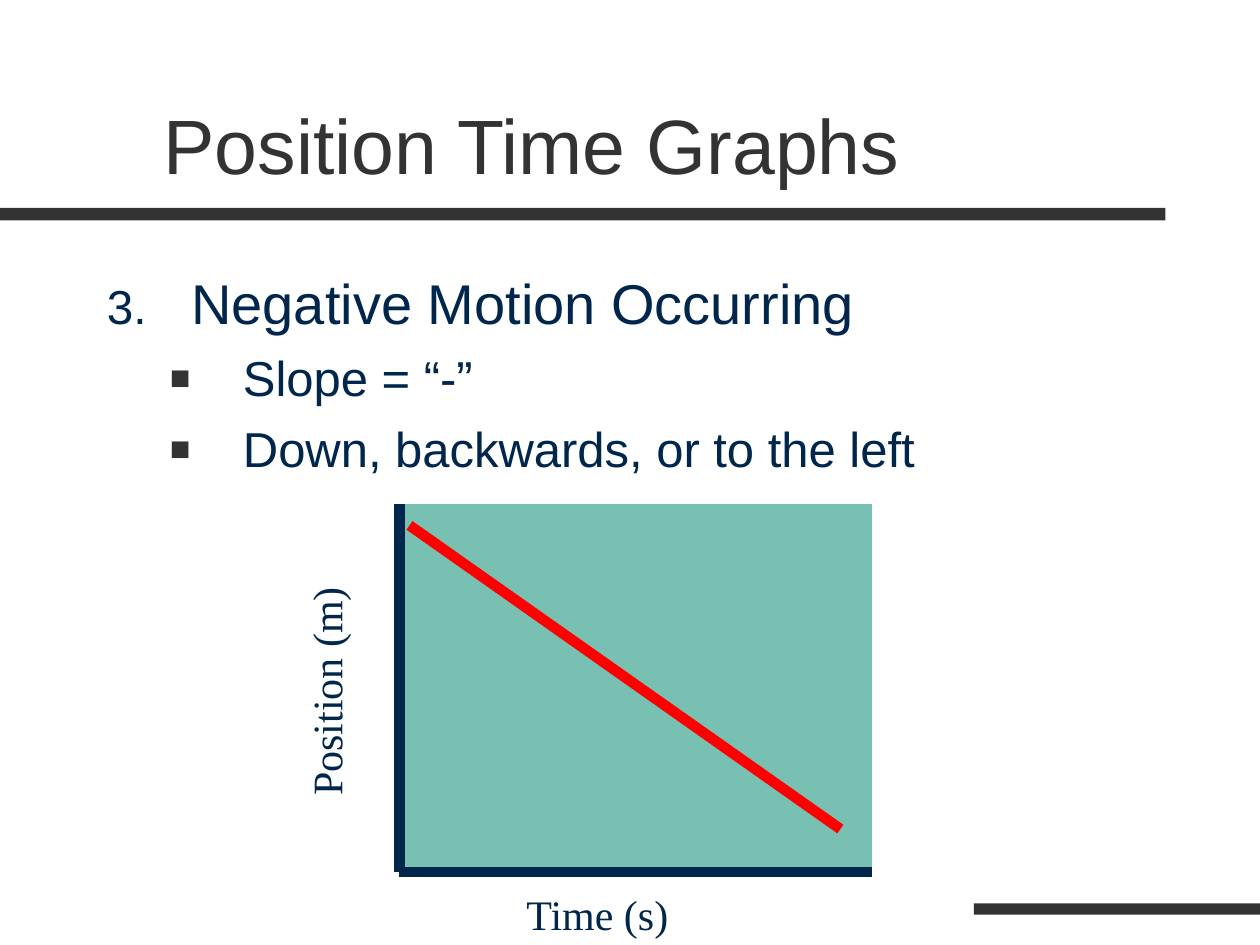
from lxml.etree import SubElement
from pptx import Presentation
from pptx.dml.color import RGBColor
from pptx.enum.shapes import MSO_CONNECTOR, MSO_SHAPE
from pptx.enum.text import MSO_ANCHOR
from pptx.oxml.ns import qn
from pptx.util import Inches, Pt

# Content
TITLE = "Position Time Graphs"
BODY = [
    ("number", "Negative Motion Occurring"),
    ("square", "Slope = “-”"),
    ("square", "Down, backwards, or to the left"),
]
X_LABEL, Y_LABEL = "Time (s)", "Position (m)"

# Theme
THEME = {
    "dark": "333333", "navy": "00264C", "teal": "78C0B2", "red": "FF0000",
    "line": 6,
    "title": {"name": "Arial", "size": 44, "color": "333333"},
    "number": {"name": "Arial", "size": 32, "color": "00264C"},
    "square": {"name": "Arial", "size": 28, "color": "00264C"},
    "label": {"name": "Times New Roman", "size": 24, "color": "00264C"},
}
BULLETS = {
    "number": {"level": 0, "left": 0.67, "hang": 0.67, "before": 8, "color": "navy", "pct": 85,
               "tag": "a:buAutoNum", "attrs": {"type": "arabicPeriod", "startAt": "3"}},
    "square": {"level": 1, "left": 1.08, "hang": 0.58, "before": 7, "color": "dark", "pct": 70,
               "tag": "a:buChar", "attrs": {"char": "■"}},
}

# Layout: left, top, width, height
BARS = [(0, 1.65, 9.25, 0.1), (7.73, 7.17, 2.27, 0.09)]
PLOT = (3.17, 4, 3.75, 2.92)
TREND = (3.25, 4.17, 6.67, 6.58)

prs = Presentation()
prs.slide_width, prs.slide_height = Inches(10), Inches(7.5)
s = prs.slides.add_slide(prs.slide_layouts[6])


def add_rect(box, color):
    sp = s.shapes.add_shape(MSO_SHAPE.RECTANGLE, *map(Inches, box))
    sp.shadow.inherit = False
    sp.fill.solid()
    sp.fill.fore_color.rgb = RGBColor.from_string(THEME[color])
    sp.line.fill.background()


def add_line(ends, color):
    ln = s.shapes.add_connector(MSO_CONNECTOR.STRAIGHT, *map(Inches, ends))
    ln.line.color.rgb = RGBColor.from_string(THEME[color])
    ln.line.width = Pt(THEME["line"])
    SubElement(ln._element.spPr, qn("a:effectLst"))


def add_box(box, anchor=MSO_ANCHOR.TOP, rotation=0):
    sp = s.shapes.add_textbox(*map(Inches, box))
    sp.rotation = rotation
    tf = sp.text_frame
    tf.word_wrap = True
    tf.vertical_anchor = anchor
    return tf


def write(p, text, style):
    r = p.add_run()
    r.text = text
    values = {"name": THEME[style]["name"], "size": Pt(THEME[style]["size"])}
    for key, value in values.items():
        setattr(r.font, key, value)
    r.font.color.rgb = RGBColor.from_string(THEME[style]["color"])


def add_bullet(p, b):
    p.level = b["level"]
    pPr = p._p.get_or_add_pPr()
    pPr.set("marL", str(Inches(b["left"])))
    pPr.set("indent", str(-Inches(b["hang"])))
    clr = SubElement(pPr, qn("a:buClr"))
    SubElement(clr, qn("a:srgbClr"), val=THEME[b["color"]])
    SubElement(pPr, qn("a:buSzPct"), val=str(b["pct"] * 1000))
    SubElement(pPr, qn("a:buFont"), typeface="Arial")
    SubElement(pPr, qn(b["tag"]), **b["attrs"])


# Decorative bars
for bar in BARS:
    add_rect(bar, "dark")

# Title
tf = add_box((1.2, 0.31, 8.5, 1.25), MSO_ANCHOR.BOTTOM)
write(tf.paragraphs[0], TITLE, "title")

# Body list
tf = add_box((0.75, 2.08, 8.5, 4.58))
for i, (kind, text) in enumerate(BODY):
    p = tf.add_paragraph() if i else tf.paragraphs[0]
    add_bullet(p, BULLETS[kind])
    if i:
        p.space_before = Pt(BULLETS[kind]["before"])
    write(p, text, kind)

# Graph: area, trend, axis labels, axes
left, top, width, height = PLOT
right, bottom = left + width, top + height
add_rect(PLOT, "teal")
add_line(TREND, "red")
for text, box, rotation in [(X_LABEL, (4.08, 7, 1.67, 0.5), 0),
                            (Y_LABEL, (1.5, 5.08, 2.17, 0.5), 270)]:
    write(add_box(box, rotation=rotation).paragraphs[0], text, "label")
add_line((left, bottom, right, bottom), "navy")
add_line((left, top, left, bottom), "navy")

prs.save("out.pptx")
